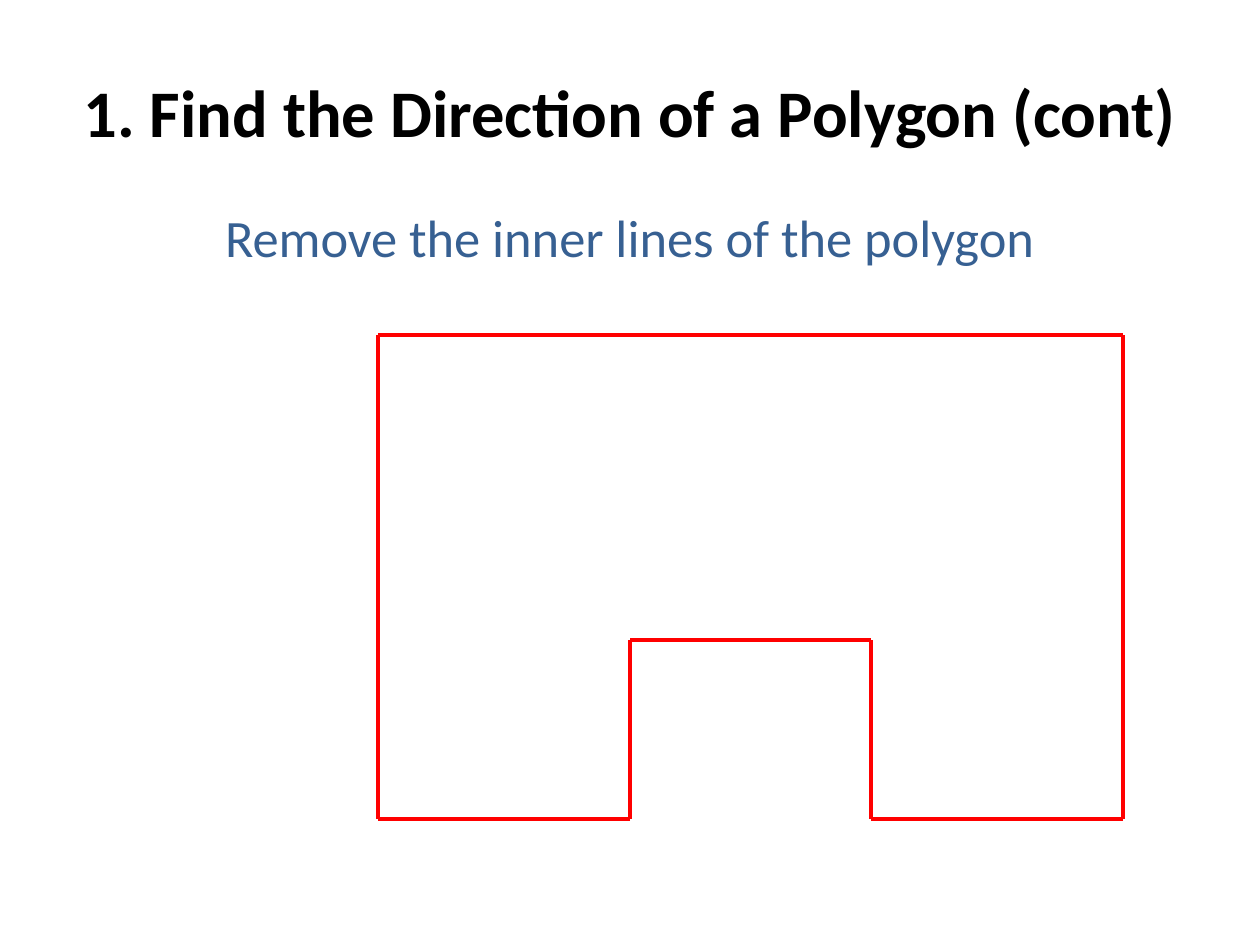
"""Build the slide on the direction of a polygon."""
from dataclasses import dataclass

from lxml.etree import SubElement
from pptx import Presentation
from pptx.dml.color import RGBColor as Rgb
from pptx.enum.shapes import MSO_CONNECTOR as Link
from pptx.enum.text import MSO_ANCHOR as Anchor, PP_ALIGN as Align
from pptx.oxml.ns import qn
from pptx.util import Cm, Pt


@dataclass(frozen=True)
class Theme:
    font: str = "Calibri"
    head: Rgb = Rgb(0, 0, 0)
    note: Rgb = Rgb(0x37, 0x60, 0x92)
    edge: Rgb = Rgb(255, 0, 0)
    head_size: float = 38
    note_size: float = 30
    edge_size: float = 2.25


look = Theme()
HEAD = "1. Find the Direction of a Polygon (cont)"
NOTE = "Remove the inner lines of the polygon"
LEFT, RIGHT, TOP, BASE = 7.62, 22.64, 6.76, 16.51
IN_LEFT, IN_RIGHT, IN_TOP = 12.7, 17.55, 12.9
CORNERS = [
    (LEFT, TOP), (RIGHT, TOP), (RIGHT, BASE), (IN_RIGHT, BASE),
    (IN_RIGHT, IN_TOP), (IN_LEFT, IN_TOP), (IN_LEFT, BASE), (LEFT, BASE),
]
HEAD_BOX = (1.27, 0.64, 22.86, 3.18)
NOTE_BOX = (1.27, 3.18, 22.86, 3.18)


def write(shape, text, size, color, bold=False):
    frame = shape.text_frame
    frame.word_wrap = True
    frame.vertical_anchor = Anchor.MIDDLE
    para = frame.paragraphs[0]
    para.alignment = Align.CENTER
    run = para.add_run()
    run.text = text
    font = run.font
    font.name, font.size, font.bold = look.font, Pt(size), bold
    font.color.rgb = color


def draw(group, start, end):
    line = group.shapes.add_connector(Link.STRAIGHT, *map(Cm, start + end))
    line.line.color.rgb = look.edge
    line.line.width = Pt(look.edge_size)
    SubElement(line._element.spPr, qn("a:effectLst"))


deck = Presentation()
deck.slide_width, deck.slide_height = Cm(25.4), Cm(19.05)
slide = deck.slides.add_slide(deck.slide_layouts[5])

note = slide.shapes.title
note.left, note.top, note.width, note.height = map(Cm, NOTE_BOX)
write(note, NOTE, look.note_size, look.note)

outline = slide.shapes.add_group_shape()
for start, end in zip(CORNERS, CORNERS[1:] + CORNERS[:1]):
    draw(outline, start, end)

head = slide.shapes.add_textbox(*map(Cm, HEAD_BOX))
write(head, HEAD, look.head_size, look.head, bold=True)

deck.save("out.pptx")
